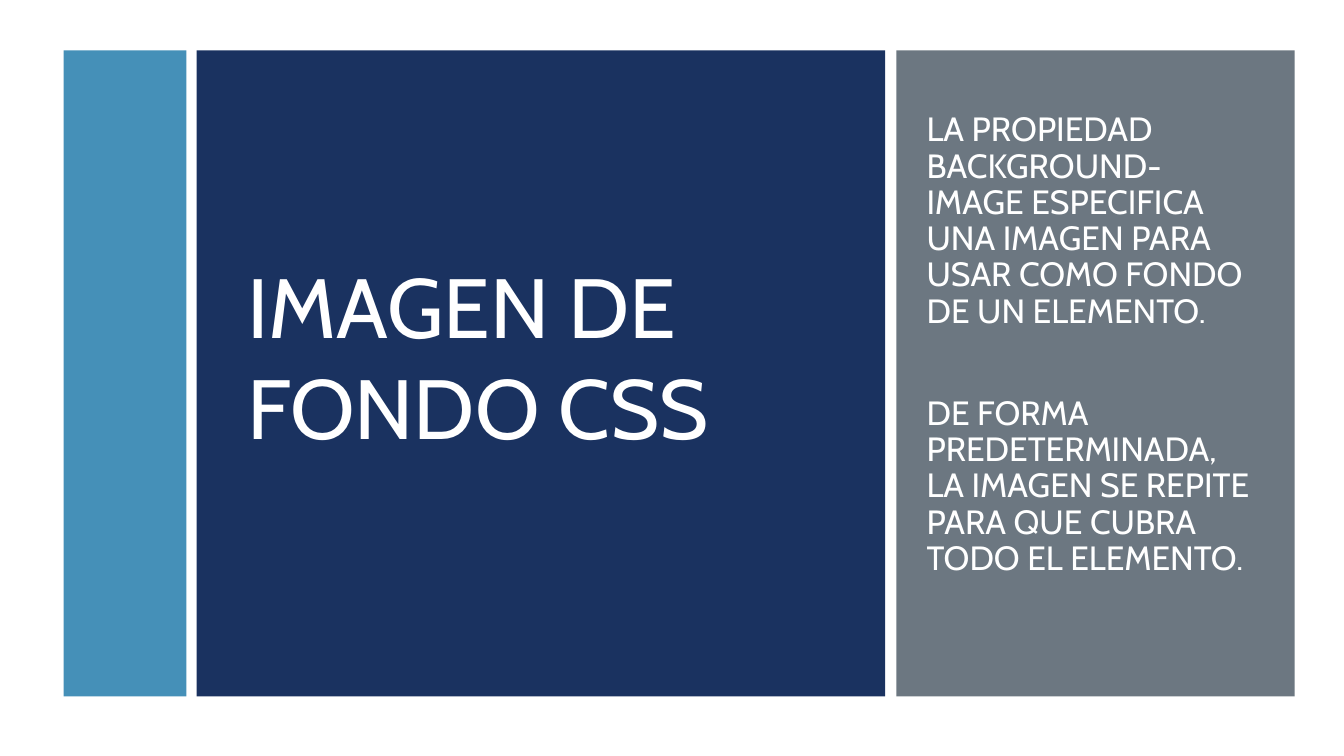
"""Build the slide on CSS background images: three colour panels, a title and a text."""
import pptx
import pptx.dml.color
import pptx.enum.shapes
import pptx.enum.text
import pptx.util

THEME = {
    "font": "Cabin",
    "text": "FFFFFF",
    "accent": "4590B8",
    "title_panel": "1A3260",
    "body_panel": "6C7781",
    "title_size": 60,
    "body_size": 24,
}
PANEL_TOP, PANEL_HEIGHT = 0.5, 6.41
PANELS = [
    (0.63, 1.22, "accent"),
    (1.95, 6.83, "title_panel"),
    (8.89, 3.95, "body_panel"),
]
BODY = [
    ("LA PROPIEDAD BACKGROUND-IMAGE ESPECIFICA UNA IMAGEN PARA USAR COMO FONDO DE UN ELEMENTO.", 5),
    ("DE FORMA PREDETERMINADA, LA IMAGEN SE REPITE PARA QUE CUBRA TODO EL ELEMENTO.", 41),
]


def color(name):
    return pptx.dml.color.RGBColor.from_string(THEME[name])


def write(p, text, size, before=0, after=0, spacing=1.0):
    p.alignment = pptx.enum.text.PP_ALIGN.LEFT
    p.line_spacing = spacing
    p.space_before = pptx.util.Pt(before)
    p.space_after = pptx.util.Pt(after)
    r = p.add_run()
    r.text = text
    r.font.name = THEME["font"]
    r.font.size = pptx.util.Pt(THEME[size])
    r.font.bold = False
    r.font.color.rgb = color("text")


prs = pptx.Presentation()
prs.slide_width = pptx.util.Inches(13.33)
prs.slide_height = pptx.util.Inches(7.5)
s = prs.slides.add_slide(prs.slide_layouts.get_by_name("Section Header"))

for left, width, fill in PANELS:
    box = [pptx.util.Inches(v) for v in (left, PANEL_TOP, width, PANEL_HEIGHT)]
    sp = s.shapes.add_shape(pptx.enum.shapes.MSO_SHAPE.RECTANGLE, *box)
    sp.shadow.inherit = False
    sp.fill.solid()
    sp.fill.fore_color.rgb = color(fill)
    sp.line.fill.background()

title, body = s.shapes.title, s.placeholders[1]
for sp, box in ((title, (2.35, 0.93, 6.04, 5.19)), (body, (9.09, 0.73, 3.44, 5.39))):
    sp.left, sp.top, sp.width, sp.height = [pptx.util.Inches(v) for v in box]
    tf = sp.text_frame
    tf.word_wrap = True
    tf.auto_size = pptx.enum.text.MSO_AUTO_SIZE.NONE
    tf.vertical_anchor = pptx.enum.text.MSO_ANCHOR.MIDDLE
    s.shapes.element.append(sp.element)

write(title.text_frame.paragraphs[0], "IMAGEN DE FONDO CSS", "title_size")
tf = body.text_frame
tf.add_paragraph()
for p, (text, before) in zip(tf.paragraphs, BODY):
    write(p, text, "body_size", before=before, after=6, spacing=0.9)

prs.save("out.pptx")
